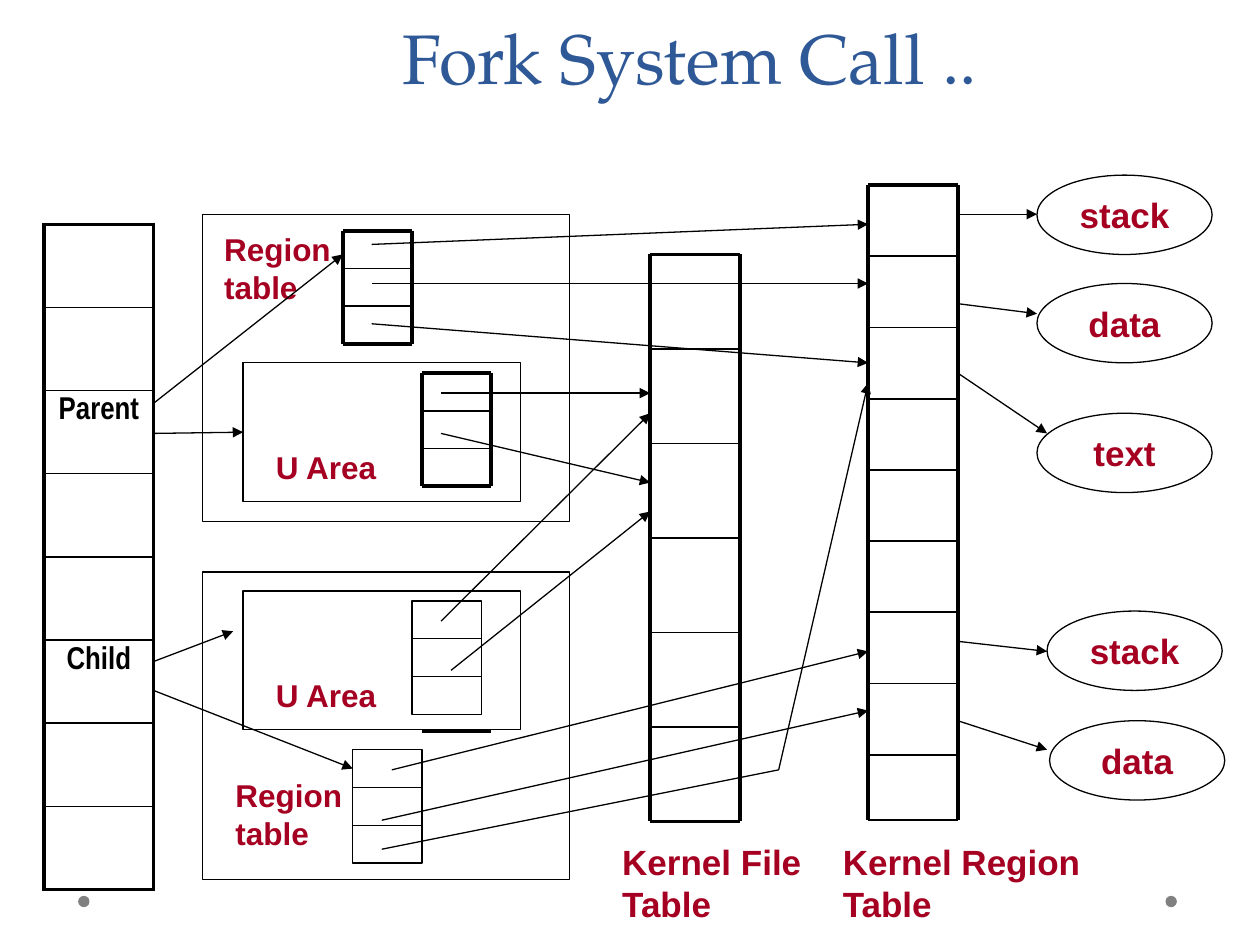
from lxml import etree
from pptx import Presentation
from pptx.dml.color import RGBColor
from pptx.enum.shapes import MSO_CONNECTOR, MSO_SHAPE
from pptx.enum.text import MSO_ANCHOR, MSO_AUTO_SIZE, PP_ALIGN
from pptx.oxml.ns import qn
from pptx.util import Inches, Pt

LINE, RECT, OVAL = MSO_CONNECTOR.STRAIGHT, MSO_SHAPE.RECTANGLE, MSO_SHAPE.OVAL
CENTER, MIDDLE, BOTTOM = PP_ALIGN.CENTER, MSO_ANCHOR.MIDDLE, MSO_ANCHOR.BOTTOM
NO_FIT = MSO_AUTO_SIZE.NONE
HEX = {"ink": "000000", "label": "A50021", "title": "2F5897", "dot": "808080"}
COLOR = {name: RGBColor.from_string(code) for name, code in HEX.items()}

prs = Presentation()
prs.slide_width, prs.slide_height = Inches(10), Inches(7.5)
slide = prs.slides.add_slide(prs.slide_layouts[5])
shapes = slide.shapes


def draw(x1, y1, x2, y2, width=0.75, arrow=False):
    line = shapes.add_connector(LINE, Inches(x1), Inches(y1), Inches(x2), Inches(y2))
    line.line.color.rgb = COLOR["ink"]
    line.line.width = Pt(width)
    if arrow:
        etree.SubElement(line.line._get_or_add_ln(), qn("a:tailEnd"), type="triangle")
    etree.SubElement(line._element.spPr, qn("a:effectLst"))
    return line


def style(frame, text, size):
    """Fill a frame with unwrapped bold label text."""
    frame.word_wrap = False
    frame.text = text
    for para in frame.paragraphs:
        font = para.runs[0].font
        font.name, font.size, font.bold = "Arial", Pt(size), True
        font.color.rgb = COLOR["label"]


# Title
title = shapes.title
title.left, title.top = Inches(1.85), Inches(0.36)
title.width, title.height = Inches(7.25), Inches(0.47)
frame = title.text_frame
frame.text = "Fork System Call .."
frame.auto_size, frame.vertical_anchor = NO_FIT, BOTTOM
para = frame.paragraphs[0]
para.alignment, para.line_spacing = CENTER, Pt(58)
font = para.runs[0].font
font.name, font.size, font.color.rgb = "TeX Gyre Pagella", Pt(40), COLOR["title"]

# Footer dots
for x in (0.62, 9.25):
    dot = shapes.add_shape(OVAL, Inches(x), Inches(7.11), Inches(0.09), Inches(0.09))
    dot.shadow.inherit = False
    dot.fill.solid()
    dot.fill.fore_color.rgb = COLOR["dot"]
    dot.line.fill.background()

# Process table
rows = 8
names = {2: "Parent", 5: "Child"}
table = shapes.add_table(rows, 1, Inches(0.35), Inches(1.78), Inches(0.87), Inches(5.28)).table
table.first_row = table.horz_banding = False
table.columns[0].width = Inches(0.87)
for row in range(rows):
    table.rows[row].height = Inches(0.66)
    cell = table.cell(row, 0)
    edges = {"lnL": 2.25, "lnR": 2.25,
             "lnT": 2.25 if row == 0 else 1,
             "lnB": 2.25 if row == rows - 1 else 1}
    for edge, width in edges.items():
        ln = etree.SubElement(cell._tc.get_or_add_tcPr(), qn(f"a:{edge}"), w=str(Pt(width)))
        fill = etree.SubElement(ln, qn("a:solidFill"))
        etree.SubElement(fill, qn("a:srgbClr"), val=HEX["ink"])
    cell.fill.background()
    if row in names:
        cell.margin_left = cell.margin_right = Inches(0.05)
        para = cell.text_frame.paragraphs[0]
        para.text = names[row]
        para.alignment, para.space_before = CENTER, Pt(3.6)
        font = para.runs[0].font
        font.name, font.size, font.bold = "Arial Narrow", Pt(18), True
        font.color.rgb = COLOR["ink"]

# Process frames, U areas and the child's small tables
boxes = {"parent": (1.61, 1.7, 2.91, 2.44), "parent area": (1.93, 2.88, 2.2, 1.1),
         "child": (1.61, 4.54, 2.91, 2.44), "child area": (1.93, 4.69, 2.2, 1.1)}
for i in range(3):
    boxes[f"file {i}"] = (3.27, 4.77 + 0.3 * i, 0.55, 0.3)
    boxes[f"region {i}"] = (2.8, 5.95 + 0.3 * i, 0.55, 0.3)
rects = {}
for name, place in boxes.items():
    box = shapes.add_shape(RECT, *map(Inches, place))
    box.shadow.inherit = False
    box.fill.background()
    box.line.color.rgb, box.line.width = COLOR["ink"], Pt(0.75)
    rects[name] = box

# Ruled tables: left, right, row lines, bottom weight
grids = [
    (2.72, 3.27, [1.83 + 0.3 * i for i in range(4)], 2.25),
    (3.35, 3.9, [2.96 + 0.3 * i for i in range(4)], 2.25),
    (5.16, 5.87, [2.02 + 0.75 * i for i in range(7)], 2.25),
    (6.89, 7.6, [1.47 + 0.565 * i for i in range(9)] + [6.51], 1),
]
for left, right, ys, base in grids:
    weights = [2.25] + [1] * (len(ys) - 2) + [base]
    for y, width in zip(ys, weights):
        draw(left, y, right, y, width)
    for x in (left, right):
        draw(x, ys[0], x, ys[-1], 2.25)
draw(3.35, 5.8, 3.9, 5.8, 2.25)

# Memory regions
for x, y, text in [(8.23, 1.39, "stack"), (8.23, 2.25, "data"), (8.23, 3.28, "text"),
                   (8.31, 4.85, "stack"), (8.33, 5.72, "data")]:
    oval = shapes.add_shape(OVAL, Inches(x), Inches(y), Inches(1.39), Inches(0.63))
    oval.shadow.inherit = False
    oval.fill.background()
    oval.line.color.rgb, oval.line.width = COLOR["ink"], Pt(0.75)
    style(oval.text_frame, text, 20)
    oval.text_frame.vertical_anchor = MIDDLE
    oval.text_frame.paragraphs[0].alignment = CENTER

# Labels
for x, y, w, h, text, size in [
    (2.09, 3.51, 1.01, 0.4, "U Area", 18),
    (2.09, 5.32, 1.01, 0.4, "U Area", 18),
    (1.68, 1.78, 1.12, 0.7, "Region\ntable", 18),
    (1.77, 6.11, 1.12, 0.7, "Region\ntable", 18),
    (4.84, 6.62, 1.7, 0.77, "Kernel File\nTable", 20),
    (6.59, 6.62, 2.09, 0.77, "Kernel Region\nTable", 20),
]:
    label = shapes.add_textbox(Inches(x), Inches(y), Inches(w), Inches(h))
    style(label.text_frame, text, size)

# Pointers
for ends in [
    (1.22, 3.2, 2.72, 2.02), (1.22, 5.25, 1.85, 5.01),
    (3.5, 3.12, 5.16, 3.12), (3.5, 3.44, 5.16, 3.83),
    (3.5, 4.93, 5.16, 3.28), (3.58, 5.32, 5.16, 4.06),
    (2.95, 1.94, 6.89, 1.78), (2.95, 2.25, 6.89, 2.25), (2.95, 2.57, 6.89, 2.88),
    (7.6, 1.7, 8.23, 1.7), (7.6, 2.41, 8.23, 2.49), (7.6, 2.96, 8.31, 3.44),
    (7.6, 5.09, 8.31, 5.17), (7.6, 5.72, 8.31, 5.95),
    (3.11, 6.11, 6.89, 5.17), (3.03, 6.51, 6.89, 5.64), (6.18, 6.11, 6.89, 3.04),
]:
    draw(*ends, arrow=True)
draw(3.03, 6.74, 6.18, 6.11)
draw(1.22, 3.44, 1.93, 3.43, arrow=True).end_connect(rects["parent area"], 1)
draw(1.22, 5.48, 2.8, 6.1, arrow=True).end_connect(rects["region 0"], 1)

prs.save("out.pptx")
